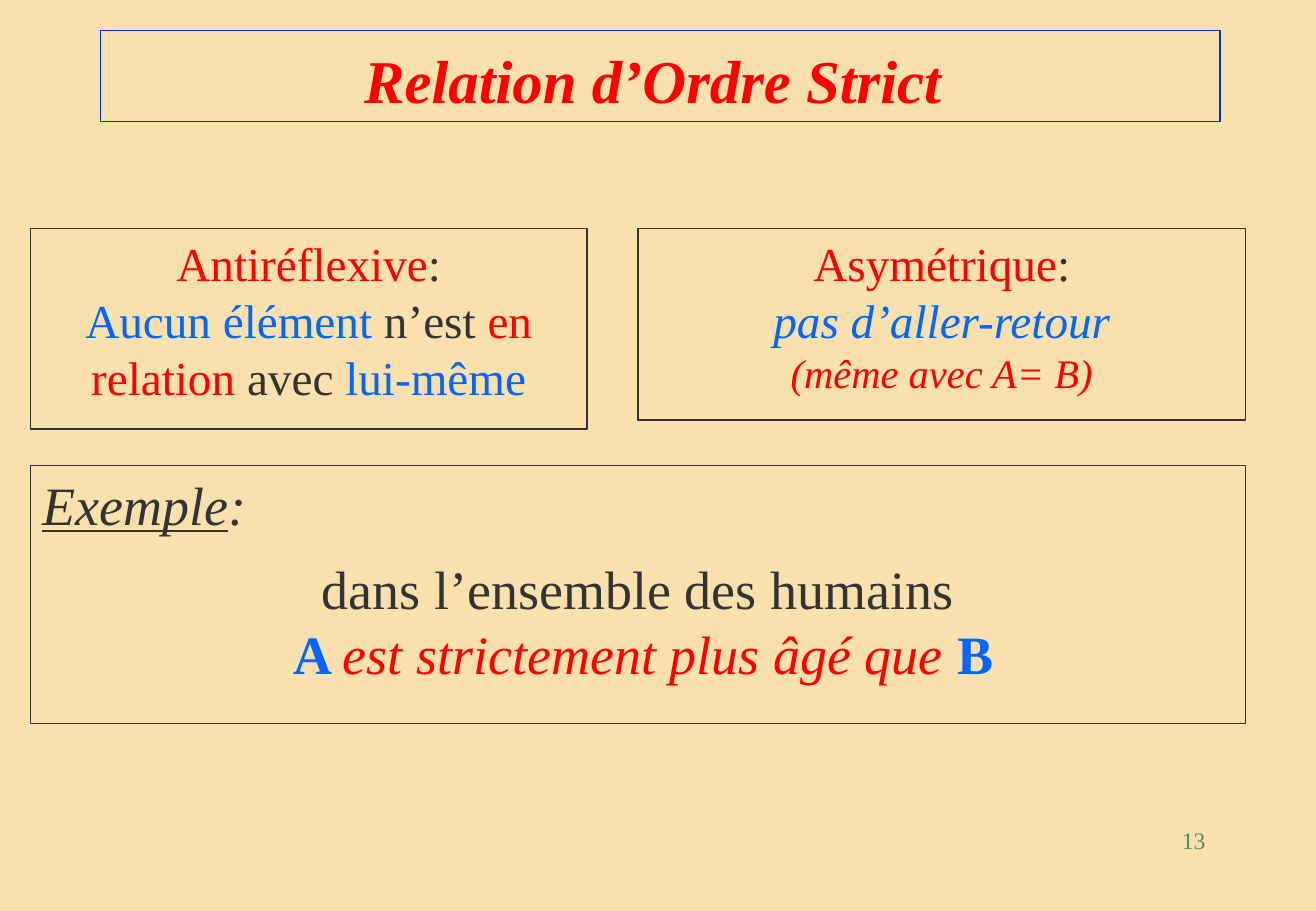
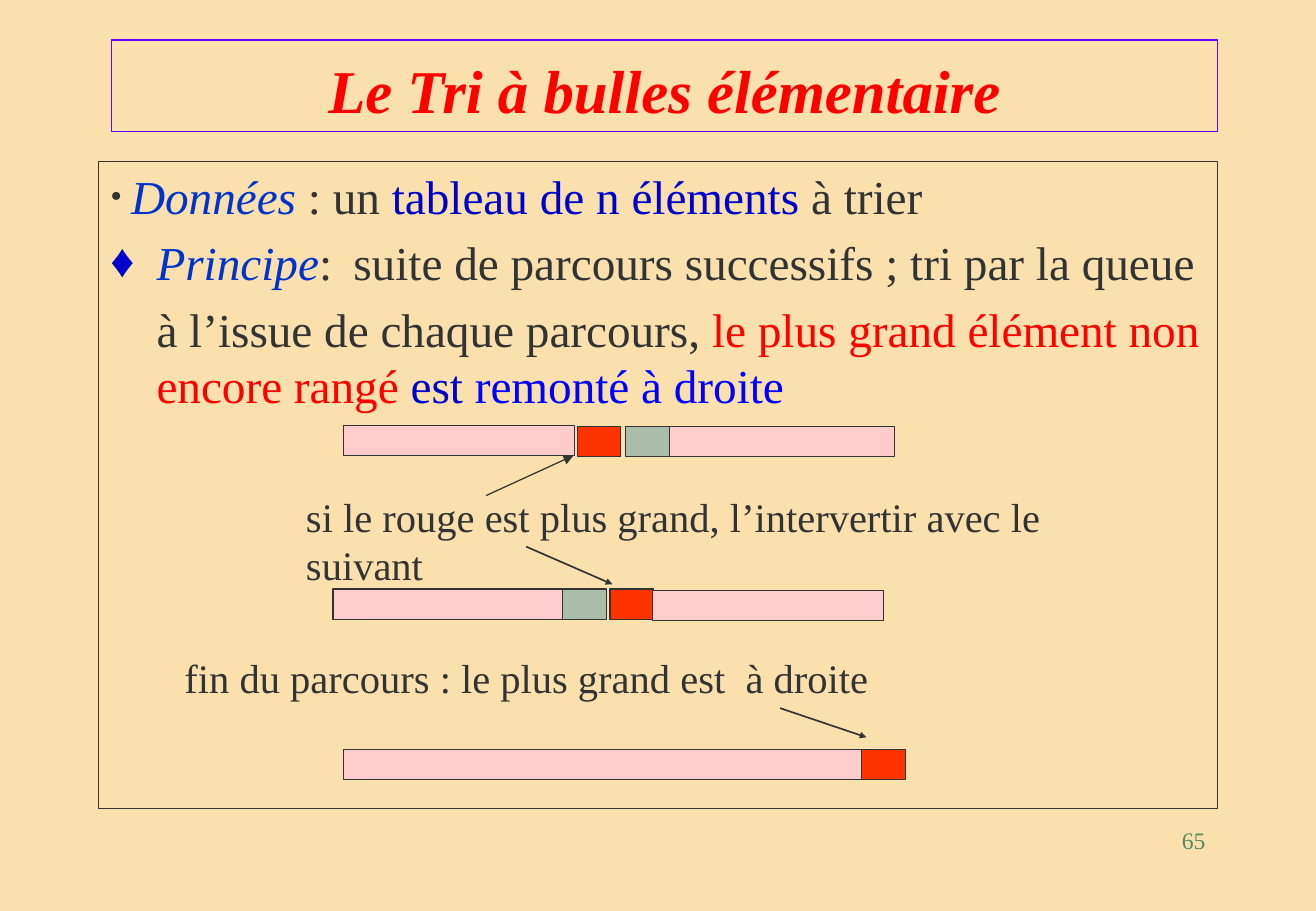
from dataclasses import dataclass, field
from typing import Any, Optional

from lxml import etree
from pptx import Presentation
from pptx.dml.color import RGBColor
from pptx.enum import shapes, text
from pptx.oxml.ns import qn
from pptx.util import Inches, Pt

# Shared colours and fonts
FONT = "Times New Roman"
CREAM = RGBColor(0xF9, 0xE0, 0xAD)
INK = RGBColor(0x33, 0x33, 0x33)
RED = RGBColor(0xFF, 0x00, 0x00)
SKY = RGBColor(0x00, 0x66, 0xFF)
ROYAL = RGBColor(0x00, 0x33, 0xCC)
NAVY = RGBColor(0x00, 0x00, 0xCC)
BLUE = RGBColor(0x00, 0x00, 0xFF)
VIOLET = RGBColor(0x66, 0x00, 0xFF)
GREEN = RGBColor(0x57, 0x89, 0x63)
PINK = RGBColor(0xFF, 0xCC, 0xCC)
ORANGE = RGBColor(0xFF, 0x33, 0x00)
SAGE = RGBColor(0xA9, 0xBD, 0xA9)

LEFT = text.PP_ALIGN.LEFT
CENTER = text.PP_ALIGN.CENTER
RIGHT = text.PP_ALIGN.RIGHT


@dataclass
class Span:
    words: str
    color: RGBColor = INK
    size: float = 28
    style: dict[str, Any] = field(default_factory=dict)
    tracking: int = 0


@dataclass
class Bullet:
    sign: str
    color: RGBColor
    percent: int = 100


@dataclass
class Para:
    spans: list[Span]
    align: text.PP_ALIGN = CENTER
    before: float = 0
    margin: float = 0
    indent: float = 0
    bullet: Optional[Bullet] = None


@dataclass
class Frame:
    left: float
    top: float
    width: float
    height: float
    line: Optional[RGBColor] = None
    weight: float = 0.75
    fill: Optional[RGBColor] = None


@dataclass
class Arrow:
    start: tuple[float, float]
    end: tuple[float, float]
    weight: float = 1
    head: str = "sm"


ITALIC = {"italic": True}
BOLD = {"bold": True}


def add_box(page, frame: Frame, paras: Optional[list[Para]] = None,
            anchor: text.MSO_ANCHOR = text.MSO_ANCHOR.TOP) -> None:
    """Draw a framed, filled or bare rectangle with optional text."""
    place = [Inches(n) for n in (frame.left, frame.top, frame.width, frame.height)]
    if frame.line is None:
        box = page.shapes.add_textbox(*place)
    else:
        box = page.shapes.add_shape(shapes.MSO_SHAPE.RECTANGLE, *place)
        box.shadow.inherit = False
        box.line.color.rgb = frame.line
        box.line.width = Pt(frame.weight)
        if frame.fill is None:
            box.fill.background()
        else:
            box.fill.solid()
            box.fill.fore_color.rgb = frame.fill
    if paras:
        box.text_frame.word_wrap = True
        box.text_frame.vertical_anchor = anchor
        write(box.text_frame, paras)


def write(frame, paras: list[Para]) -> None:
    """Fill a text frame with formatted paragraphs."""
    for number, para in enumerate(paras):
        paragraph = frame.add_paragraph() if number else frame.paragraphs[0]
        paragraph.alignment = para.align
        paragraph.space_before = Pt(para.before)
        if para.margin:
            props = paragraph._p.get_or_add_pPr()
            props.set("marL", str(Inches(para.margin)))
            props.set("indent", str(Inches(para.indent)))
        if para.bullet:
            add_bullet(paragraph, para.bullet)
        for span in para.spans:
            run = paragraph.add_run()
            run.text = span.words
            run.font.color.rgb = span.color
            formats = {"name": FONT, "size": Pt(span.size), **span.style}
            for name, value in formats.items():
                setattr(run.font, name, value)
            if span.tracking:
                run.font._element.set("spc", str(span.tracking))


def add_bullet(paragraph, bullet: Bullet) -> None:
    props = paragraph._p.get_or_add_pPr()
    color = etree.SubElement(props, qn("a:buClr"))
    etree.SubElement(color, qn("a:srgbClr"), val=str(bullet.color))
    etree.SubElement(props, qn("a:buSzPct"), val=str(bullet.percent * 1000))
    etree.SubElement(props, qn("a:buFont"), typeface=FONT)
    etree.SubElement(props, qn("a:buChar"), char=bullet.sign)


def add_arrow(page, arrow: Arrow) -> None:
    ends = [Inches(n) for n in (*arrow.start, *arrow.end)]
    line = page.shapes.add_connector(shapes.MSO_CONNECTOR.STRAIGHT, *ends)
    line.line.color.rgb = INK
    line.line.width = Pt(arrow.weight)
    etree.SubElement(line.line._get_or_add_ln(), qn("a:tailEnd"),
                     type="triangle", w=arrow.head, len=arrow.head)
    etree.SubElement(line._element.spPr, qn("a:effectLst"))


def add_page(deck, title: str, frame: Frame, number: str):
    """Add a slide with its background, boxed title and page number."""
    page = deck.slides.add_slide(deck.slide_layouts[6])
    page.background.fill.solid()
    page.background.fill.fore_color.rgb = CREAM
    add_box(page, Frame(7.76, 6.75, 2.26, 0.5),
            [Para([Span(number, GREEN, 14)], RIGHT)])
    add_box(page, frame, [Para([Span(title, RED, 36, BOLD | ITALIC)])],
            text.MSO_ANCHOR.BOTTOM)
    return page


def build_strict_order(deck) -> None:
    page = add_page(deck, "Relation d’Ordre Strict ",
                    Frame(0.83, 0.25, 9.21, 0.75, ROYAL), "13")

    # The two properties
    add_box(page, Frame(0.25, 1.88, 4.58, 1.65, INK, 1), [
        Para([Span("Antiréflexive", RED), Span(":")]),
        Para([Span("Aucun élément", SKY), Span(" n’est "),
              Span("en relation", RED), Span(" avec "), Span("lui-même", SKY)]),
    ])
    add_box(page, Frame(5.25, 1.88, 5, 1.58, INK, 1), [
        Para([Span("Asymétrique", RED), Span(":")]),
        Para([Span("pas d’aller-retour", SKY, style=ITALIC)]),
        Para([Span("(même avec A= B)", RED, 24, ITALIC)]),
    ])

    # Example
    add_box(page, Frame(0.25, 3.83, 10, 2.13, INK), [
        Para([Span("Exemple", size=32, style=ITALIC | {"underline": True}),
              Span(":", size=32, style=ITALIC)], LEFT),
        Para([Span("dans l’ensemble des humains", size=32)], before=11.5),
        Para([Span(" A ", SKY, 32, BOLD),
              Span("est strictement plus âgé que ", RED, 32, ITALIC),
              Span("B", SKY, 32, BOLD)]),
    ])


def build_bubble_sort(deck) -> None:
    page = add_page(deck, "Le Tri à bulles élémentaire",
                    Frame(0.92, 0.33, 9.1, 0.75, VIOLET), "65")

    # Data and principle
    add_box(page, Frame(0.81, 1.33, 9.21, 5.33, INK), [
        Para([Span("Données ", ROYAL, style=ITALIC), Span(": un "),
              Span("tableau de n éléments", NAVY), Span(" à trier")],
             LEFT, 0, 0.17, -0.17, Bullet("•", INK, 71)),
        Para([Span("Principe", ROYAL, style=ITALIC), Span(":"),
              Span(" ", tracking=560),
              Span("suite de parcours successifs ; tri par la queue")],
             LEFT, 5.6, 0.38, -0.38, Bullet("♦", NAVY)),
        Para([Span("à l’issue de chaque parcours, "),
              Span("le plus grand élément non encore rangé", RED),
              Span(" est ", NAVY), Span("remonté à droite", BLUE)],
             LEFT, 5.6, 0.38),
    ])

    # Array states: before the swap, after it, end of the pass
    long, cell, height = 1.9, 0.36, 0.25
    bars = [
        (2.83, 3.5, long, PINK), (4.75, 3.51, cell, ORANGE),
        (5.46, 3.51, long, PINK), (5.15, 3.51, cell, SAGE),
        (2.74, 4.85, long, PINK), (5.02, 4.85, cell, ORANGE),
        (5.37, 4.86, long, PINK), (4.63, 4.85, cell, SAGE),
        (2.83, 6.17, 4.57, PINK), (7.09, 6.17, cell, ORANGE),
    ]
    for left, top, width, fill in bars:
        add_box(page, Frame(left, top, width, height, INK, fill=fill))

    # Captions
    captions = [
        (2.42, 4, 7, "si le rouge est plus grand, l’intervertir avec le suivant"),
        (1.42, 5.33, 6.2, "fin du parcours : le plus grand est  à droite"),
    ]
    for left, top, width, words in captions:
        add_box(page, Frame(left, top, width, 0.5), [Para([Span(words, size=24)], LEFT)])

    # Arrows from captions to cells
    for arrow in (Arrow((4, 4.08), (4.72, 3.75), 0.75, "med"),
                  Arrow((4.33, 4.5), (5.04, 4.81)),
                  Arrow((6.42, 5.83), (7.13, 6.07))):
        add_arrow(page, arrow)


def main() -> None:
    deck = Presentation()
    deck.slide_width, deck.slide_height = Inches(10.83), Inches(7.5)
    build_strict_order(deck)
    build_bubble_sort(deck)
    deck.save("out.pptx")


if __name__ == "__main__":
    main()
